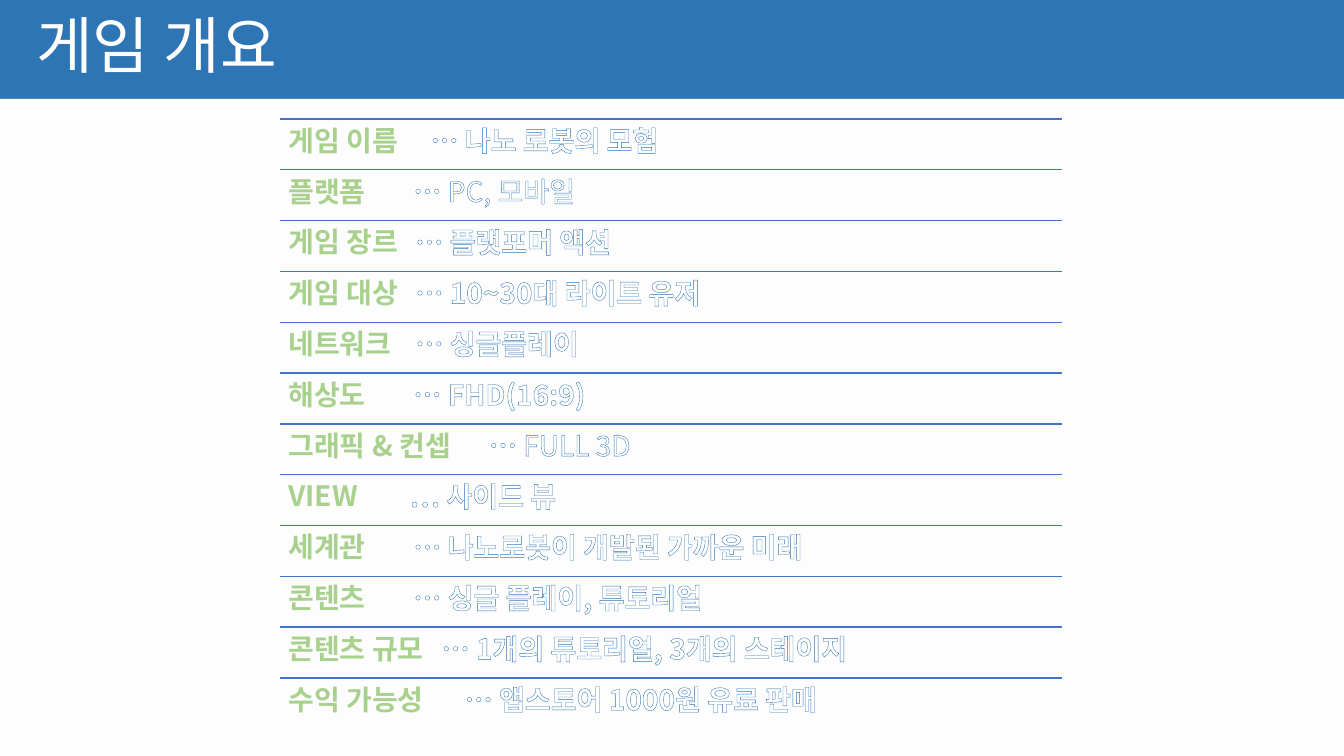
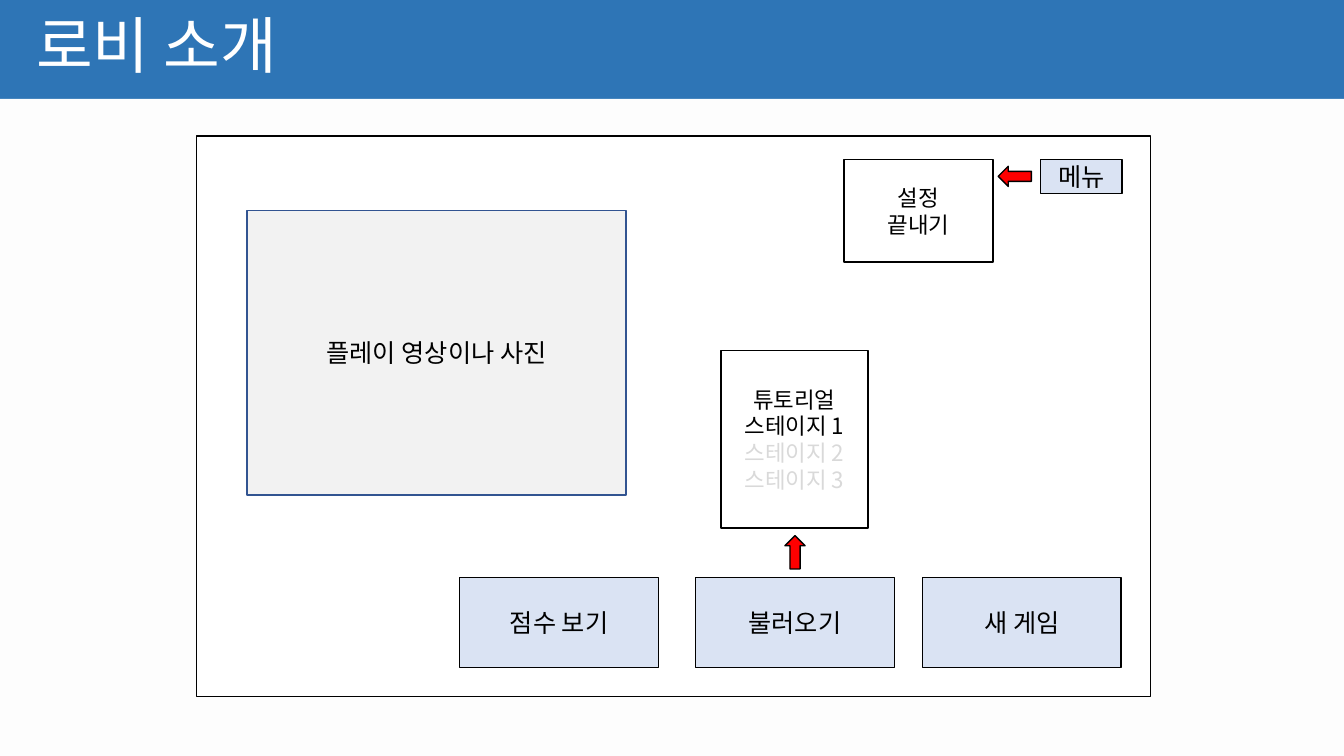
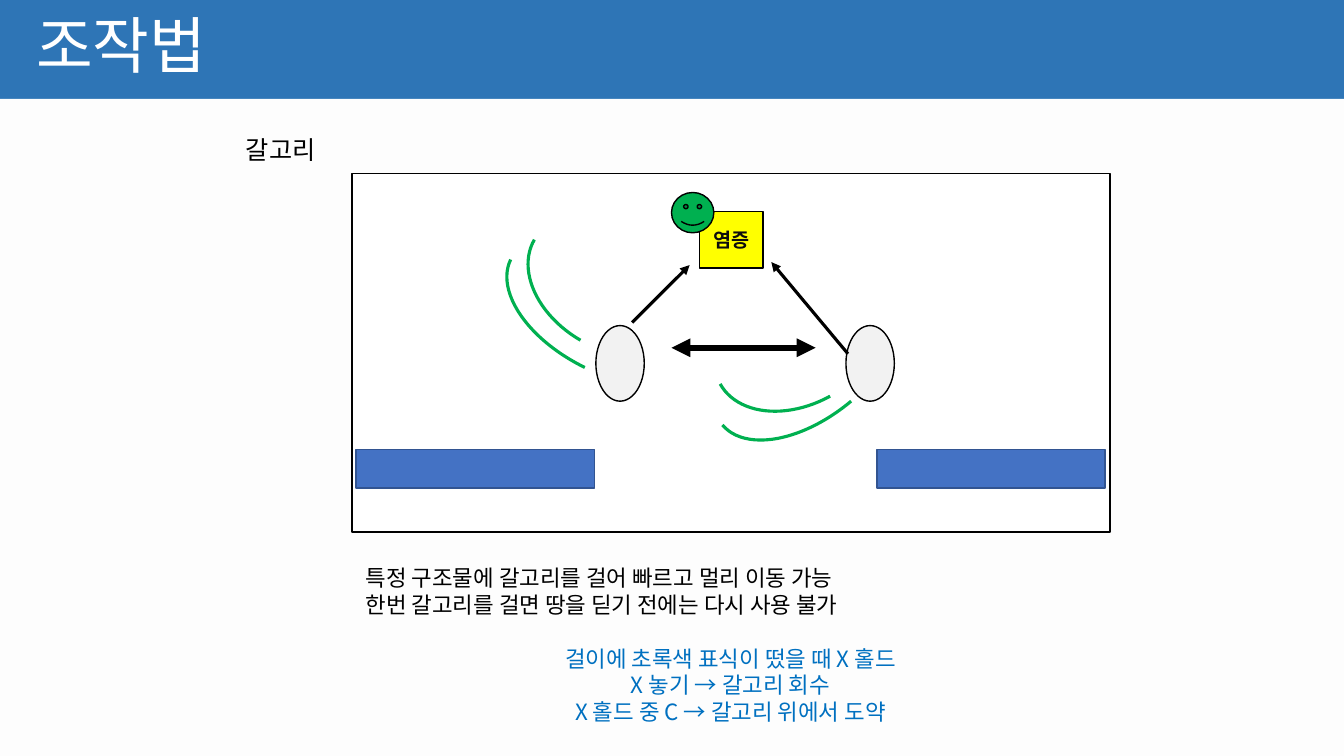
"""Build three game design slides: overview, lobby and controls."""
import pptx
import pptx.dml.color
import pptx.enum.shapes
import pptx.enum.text
import pptx.oxml.ns
import pptx.util
from lxml import etree

Inches = pptx.util.Inches
SHAPE = pptx.enum.shapes.MSO_SHAPE
ANCHOR = pptx.enum.text.MSO_ANCHOR
ALIGN = pptx.enum.text.PP_ALIGN
FONT = "Noto Sans CJK KR"
COLORS = {
    "band": "2E75B6", "page": "FDFDFD", "white": "FFFFFF", "black": "000000",
    "rule": "4472C4", "edge": "325491", "label": "A9D18E", "button": "DAE3F3",
    "pale": "F2F2F2", "locked": "D9D9D9", "red": "FF0000", "green": "00B050",
    "yellow": "FFFF00", "ink": "0D0D0D", "hint": "0070C0",
}
OVERVIEW_ROWS = [
    ("게임 이름", "… 나노 로봇의 모험", "", 1.41),
    ("플랫폼", "… ", "PC, 모바일", 1.24),
    ("게임 장르", "… 플랫포머 액션", "", 1.26),
    ("게임 대상", "… 10~30대 라이트 유저", "", 1.26),
    ("네트워크", "… 싱글플레이", "", 1.26),
    ("해상도", "… FHD(16:9)", "", 1.24),
    ("그래픽 & 컨셉", "…", " FULL 3D", 1.99),
    ("VIEW", "… 사이드 뷰", "", 1.2),
    ("세계관", "… 나노로봇이 개발된 가까운 미래", "", 1.24),
    ("콘텐츠", "… 싱글 플레이, 튜토리얼", "", 1.24),
    ("콘텐츠 규모", "… 1개의 튜토리얼, 3개의 스테이지", "", 1.52),
    ("수익 가능성", "… 앱스토어 1000원 유료 판매", "", 1.75),
]


def rgb(name):
    """Return the named palette colour."""
    return pptx.dml.color.RGBColor.from_string(COLORS[name])


def add_element(parent, tag, **attributes):
    """Append a drawing element to a parent element."""
    return etree.SubElement(parent, pptx.oxml.ns.qn(tag), attributes)


def set_font(font, size, color, bold=False, outline=None):
    """Format a font, for Latin and Korean text alike."""
    font.name = FONT
    font.size = pptx.util.Pt(size)
    font.bold = bold
    font.color.rgb = rgb(color)
    properties = font._element
    add_element(properties, "a:ea", typeface=FONT)
    if outline:
        line = add_element(properties, "a:ln", w="9525")
        fill = add_element(line, "a:solidFill")
        add_element(fill, "a:srgbClr", val=COLORS[outline])
        properties.insert(0, line)


def write(shape, lines, size, color="black", align=ALIGN.CENTER, anchor=ANCHOR.MIDDLE,
          bold=False, outline=None):
    """Write lines, each a string or a (string, colour) pair, into a shape."""
    frame = shape.text_frame
    frame.word_wrap = True
    frame.vertical_anchor = anchor
    for index, line in enumerate(lines):
        text, line_color = (line, color) if isinstance(line, str) else line
        paragraph = frame.add_paragraph() if index else frame.paragraphs[0]
        paragraph.text = text
        paragraph.alignment = align
        set_font(paragraph.font, size, line_color, bold, outline)


def add_box(slide, left, top, width, height, fill=None, line="black", kind=SHAPE.RECTANGLE,
            weight=1, rotation=0):
    """Add a preset shape with a plain fill and line."""
    shape = slide.shapes.add_shape(kind, Inches(left), Inches(top), Inches(width), Inches(height))
    shape.shadow.inherit = False
    shape.rotation = rotation
    if fill:
        shape.fill.solid()
        shape.fill.fore_color.rgb = rgb(fill)
    else:
        shape.fill.background()
    if line:
        shape.line.color.rgb = rgb(line)
        shape.line.width = pptx.util.Pt(weight)
    else:
        shape.line.fill.background()
    return shape


def add_text(slide, left, top, width, height):
    """Add an empty text box."""
    return slide.shapes.add_textbox(Inches(left), Inches(top), Inches(width), Inches(height))


def add_line(slide, start, end, color, weight, heads=()):
    """Add a straight connector with arrowheads at the named ends."""
    connector = slide.shapes.add_connector(
        pptx.enum.shapes.MSO_CONNECTOR.STRAIGHT, *(Inches(value) for value in (*start, *end)))
    connector.line.color.rgb = rgb(color)
    connector.line.width = pptx.util.Pt(weight)
    for head in heads:
        add_element(connector.line._get_or_add_ln(), head, type="triangle")
    add_element(connector._element.spPr, "a:effectLst")


def add_titled_slide(presentation, title_text):
    """Add a slide with the title band and the light page below it."""
    slide = presentation.slides.add_slide(presentation.slide_layouts[5])
    title = slide.shapes.title
    title.left, title.top = Inches(0.26), Inches(0)
    title.width, title.height = Inches(11.5), Inches(0.97)
    write(title, [title_text], 44, "white", ALIGN.LEFT)
    title.text_frame.auto_size = pptx.enum.text.MSO_AUTO_SIZE.NONE
    title.text_frame.paragraphs[0].line_spacing = 0.9
    add_box(slide, 0, 0.98, 13.33, 6.52, "page", None)
    return slide


def add_overview_row(slide, left, top, width, height, row):
    """Add one ruled row with a label and a value at a tab stop."""
    label, value, light_value, stop = row
    add_line(slide, (left, top), (left + width, top), "rule", 1)
    frame = add_text(slide, left, top, width, height).text_frame
    frame.word_wrap = True
    frame.margin_left = frame.margin_right = Inches(0.08)
    frame.margin_top = frame.margin_bottom = Inches(0.08)
    paragraph = frame.paragraphs[0]
    paragraph.line_spacing = 0.9
    tabs = add_element(paragraph._p.get_or_add_pPr(), "a:tabLst")
    add_element(tabs, "a:tab", pos=str(Inches(stop)), algn="l")
    parts = [(label + "\t", "label", True), (value, "white", True), (light_value, "white", False)]
    for text, color, bold in parts:
        if text:
            run = paragraph.add_run()
            run.text = text
            set_font(run.font, 20, color, bold, "band")


def add_overview(slide, left, top, width, height):
    """Fill a box with the evenly spaced overview rows."""
    pitch = height / len(OVERVIEW_ROWS)
    for index, row in enumerate(OVERVIEW_ROWS):
        add_overview_row(slide, left, top + index * pitch, width, pitch, row)


def add_lobby(slide, left, top, width, height):
    """Draw the lobby screen with its menus and buttons."""
    add_box(slide, left, top, width, height, "white")
    panels = [
        (8.37, 0.23, 0.81, 0.34, "button", "black", 18, ["메뉴"]),
        (6.42, 0.23, 1.48, 1.02, "white", "black", 16, ["설정", "끝내기"]),
        (5.2, 2.13, 1.46, 1.76, "white", "black", 16,
         ["튜토리얼", "스테이지 1", ("스테이지 2", "locked"), ("스테이지 3", "locked")]),
        (0.5, 0.74, 3.76, 2.82, "pale", "edge", 18, ["플레이 영상이나 사진"]),
    ]
    buttons = [(2.61, "점수 보기"), (4.95, "불러오기"), (7.2, "새 게임")]
    panels += [(x, 4.38, 1.97, 0.89, "button", "black", 18, [text]) for x, text in buttons]
    for x, y, panel_width, panel_height, fill, line, size, lines in panels:
        panel = add_box(slide, left + x, top + y, panel_width, panel_height, fill, line)
        write(panel, lines, size)
    for x, y, rotation in [(7.95, 0.3, 0), (5.77, 4.03, 90)]:
        add_box(slide, left + x, top + y, 0.33, 0.2, "red", kind=SHAPE.LEFT_ARROW,
                rotation=rotation)


def add_hook_scene(slide, left, top, width, height):
    """Draw the hook swing between two platforms."""
    add_box(slide, left, top, width, height, "white")
    for x, platform_width in [(0.04, 2.37), (5.21, 2.26)]:
        add_box(slide, left + x, top + 2.74, platform_width, 0.38, "rule", "edge")
    for x in (2.42, 4.9):
        add_box(slide, left + x, top + 1.51, 0.48, 0.75, "pale", kind=SHAPE.OVAL)
    target = add_box(slide, left + 3.45, top + 0.38, 0.63, 0.56, "yellow")
    write(target, ["염증"], 14, "ink", bold=True)
    target.text_frame.margin_left = target.text_frame.margin_right = Inches(0.05)
    swings = [(1.46, 0.71, 2.26, 1.28, 206), (1.69, 0.47, 1.79, 1.27, 210),
              (3.41, 1.13, 2.26, 1.28, 140), (3.54, 1.02, 1.79, 1.27, 151)]
    for x, y, arc_width, arc_height, rotation in swings:
        add_box(slide, left + x, top + y, arc_width, arc_height, None, "green", SHAPE.ARC,
                2.25, rotation)
    add_box(slide, left + 3.17, top + 0.19, 0.42, 0.4, "green", kind=SHAPE.SMILEY_FACE)
    arrows = [((2.78, 1.48), (3.35, 0.91), 2.25, ["a:tailEnd"]),
              ((4.92, 1.79), (4.16, 0.88), 2.25, ["a:tailEnd"]),
              ((3.17, 1.73), (4.6, 1.73), 4.5, ["a:headEnd", "a:tailEnd"])]
    for start, end, weight, heads in arrows:
        add_line(slide, (left + start[0], top + start[1]), (left + end[0], top + end[1]),
                 "black", weight, heads)


def add_controls(slide, left, top):
    """Place the hook heading, its scene and the instructions."""
    write(add_text(slide, left, top, 3, 0.4), ["갈고리"], 18, align=ALIGN.LEFT, anchor=ANCHOR.TOP)
    add_hook_scene(slide, left + 1.15, top + 0.44, 7.52, 3.56)
    write(add_text(slide, left + 1.19, top + 4.26, 7.43, 0.64),
          ["특정 구조물에 갈고리를 걸어 빠르고 멀리 이동 가능",
           "한번 갈고리를 걸면 땅을 딛기 전에는 다시 사용 불가"], 16, align=ALIGN.LEFT)
    write(add_text(slide, left + 1.19, top + 5.06, 7.43, 0.91),
          ["걸이에 초록색 표식이 떴을 때 X 홀드", "X 놓기 → 갈고리 회수",
           "X 홀드 중 C → 갈고리 위에서 도약"], 16, "hint", outline="black")


def main():
    """Build and save the presentation."""
    presentation = pptx.Presentation()
    presentation.slide_width, presentation.slide_height = Inches(13.33), Inches(7.5)
    background = presentation.slide_master.background.fill
    background.solid()
    background.fore_color.rgb = rgb("band")
    add_overview(add_titled_slide(presentation, "게임 개요"), 2.78, 1.18, 7.75, 6.05)
    add_lobby(add_titled_slide(presentation, "로비 소개"), 1.95, 1.35, 9.46, 5.56)
    add_controls(add_titled_slide(presentation, "조작법"), 2.34, 1.28)
    presentation.save("out.pptx")


if __name__ == "__main__":
    main()
